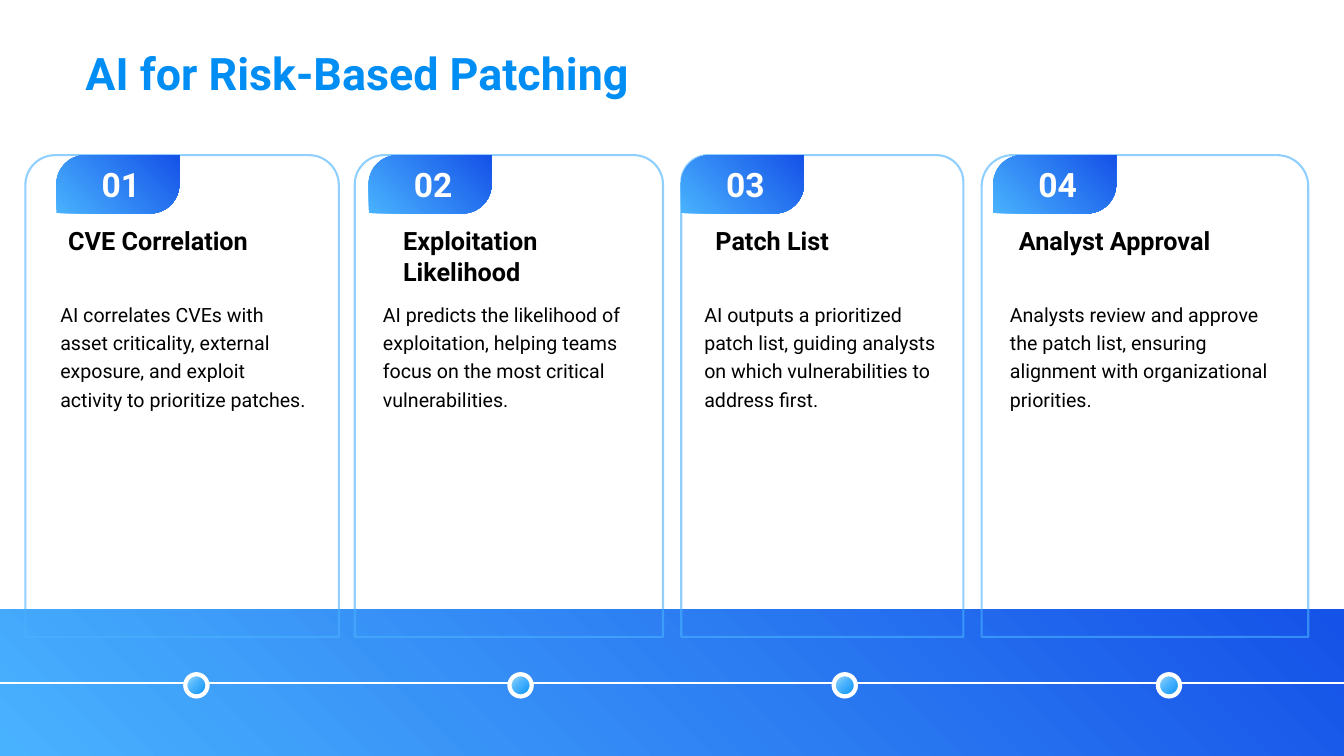
from dataclasses import dataclass

from lxml import etree
from pptx import Presentation
from pptx.dml.color import RGBColor
from pptx.enum import shapes, text
from pptx.oxml import ns
from pptx.util import Cm, Pt


@dataclass(frozen=True)
class Theme:
    font: str = "Roboto"
    blue: str = "018EF4"
    sky: str = "49B2FE"
    deep: str = "1552E8"
    pale: str = "95D7F9"
    white: str = "FFFFFF"
    black: str = "000000"
    title: int = 32
    number: int = 24
    head: int = 18
    body: int = 14


@dataclass(frozen=True)
class Span:
    """Left edge and width in centimetres."""
    left: float
    width: float


@dataclass(frozen=True)
class Step:
    head: str
    body: str
    card: Span
    head_at: Span
    body_at: Span


THEME = Theme()
KIND = shapes.MSO_SHAPE
WIDE, HIGH = 33.87, 19.05
TOP, BAND, RAIL = 3.91, 15.37, 17.22
BADGE, PITCH = 1.42, 7.87
DOT, DOT_GAP, DOT_SIZE = 4.67, 8.17, 0.56
RISE = [(0, THEME.sky), (100, THEME.deep)]
GLOW = [(0, THEME.blue), (53, THEME.sky), (91, THEME.pale), (100, THEME.pale)]

STEPS = [
    Step("CVE Correlation",
         "AI correlates CVEs with asset criticality, external exposure, "
         "and exploit activity to prioritize patches.",
         Span(0.64, 7.9), Span(1.47, 6.5), Span(1.27, 6.76)),
    Step("Exploitation Likelihood",
         "AI predicts the likelihood of exploitation, helping teams "
         "focus on the most critical vulnerabilities.",
         Span(8.94, 7.77), Span(9.91, 5.94), Span(9.4, 6.86)),
    Step("Patch List",
         "AI outputs a prioritized patch list, guiding analysts "
         "on which vulnerabilities to address first.",
         Span(17.17, 7.11), Span(17.78, 6.32), Span(17.5, 6.5)),
    Step("Analyst Approval",
         "Analysts review and approve the patch list, ensuring "
         "alignment with organizational priorities.",
         Span(24.74, 8.23), Span(25.43, 6.4), Span(25.2, 7.14)),
]


def rgb(tone: str) -> RGBColor:
    return RGBColor.from_string(tone)


def add_form(slide, kind, left: float, top: float, width: float, height: float):
    """Add a preset shape with no shadow, fill or line."""
    form = slide.shapes.add_shape(kind, Cm(left), Cm(top), Cm(width), Cm(height))
    form.shadow.inherit = False
    form.fill.background()
    form.line.fill.background()
    return form


def shade(form, stops: list[tuple[int, str]], angle: int) -> None:
    """Give a form a linear gradient; the angle runs clockwise."""
    grad = etree.Element(ns.qn("a:gradFill"), rotWithShape="1")
    row = etree.SubElement(grad, ns.qn("a:gsLst"))
    for place, tone in stops:
        stop = etree.SubElement(row, ns.qn("a:gs"), pos=str(place * 1000))
        etree.SubElement(stop, ns.qn("a:srgbClr"), val=tone)
    etree.SubElement(grad, ns.qn("a:lin"), ang=str(angle * 60000), scaled="0")
    props = form._element.spPr
    props.replace(props.find(ns.qn("a:noFill")), grad)


def stroke(line, tone: str, width: float, alpha: int = 100) -> None:
    line.color.rgb = rgb(tone)
    line.width = Pt(width)
    if alpha < 100:
        tint = line._ln.find(".//" + ns.qn("a:srgbClr"))
        etree.SubElement(tint, ns.qn("a:alpha"), val=str(alpha * 1000))


def write(box, words: str, size: int, tone: str, bold: bool = True,
          align=text.PP_ALIGN.LEFT, lead: float = 1.0) -> None:
    frame = box.text_frame
    frame.text = words
    frame.word_wrap = True
    frame.auto_size = text.MSO_AUTO_SIZE.NONE
    frame.vertical_anchor = text.MSO_ANCHOR.TOP
    para = frame.paragraphs[0]
    para.alignment = align
    para.line_spacing = lead
    font = para.runs[0].font
    font.name, font.size, font.bold = THEME.font, Pt(size), bold
    font.color.rgb = rgb(tone)


def add_text(slide, span: Span, top: float, height: float):
    return slide.shapes.add_textbox(Cm(span.left), Cm(top), Cm(span.width), Cm(height))


def add_title(slide) -> None:
    title = slide.shapes.title
    title.left, title.top = Cm(1.9), Cm(1.02)
    title.width, title.height = Cm(27.23), Cm(1.4)
    write(title, "AI for Risk-Based Patching", THEME.title, THEME.blue)


def add_step(slide, order: int, step: Step) -> None:
    card = add_form(slide, KIND.ROUND_2_SAME_RECTANGLE,
                    step.card.left, TOP, step.card.width, 12.14)
    card.adjustments[0], card.adjustments[1] = 0.095, 0
    stroke(card.line, THEME.sky, 1.5, 60)

    left = BADGE + order * PITCH
    badge = add_form(slide, KIND.ROUND_2_DIAG_RECTANGLE, left, TOP, 3.1, 1.47)
    badge.adjustments[0], badge.adjustments[1] = 0.5, 0
    shade(badge, RISE, 315)

    number = add_text(slide, Span(left + 0.76, 1.73), 4.01, 1.02)
    write(number, f"{order + 1:02}", THEME.number, THEME.white,
          align=text.PP_ALIGN.CENTER)
    head = add_text(slide, step.head_at, 5.56, 1.65)
    write(head, step.head, THEME.head, THEME.black)
    body = add_text(slide, step.body_at, 7.39, 3.02)
    write(body, step.body, THEME.body, THEME.black, bold=False, lead=1.2)


def add_rail(slide) -> None:
    rail = slide.shapes.add_connector(shapes.MSO_CONNECTOR.STRAIGHT,
                                      Cm(0), Cm(RAIL), Cm(WIDE), Cm(RAIL))
    stroke(rail.line, THEME.white, 1.5)
    etree.SubElement(rail._element.spPr, ns.qn("a:effectLst"))
    for order in range(len(STEPS)):
        dot = add_form(slide, KIND.OVAL, DOT + order * DOT_GAP, 16.99,
                       DOT_SIZE, DOT_SIZE)
        shade(dot, GLOW, 225)
        stroke(dot.line, THEME.white, 3)


def main() -> None:
    deck = Presentation()
    deck.slide_width, deck.slide_height = Cm(WIDE), Cm(HIGH)
    slide = deck.slides.add_slide(deck.slide_layouts[5])
    add_title(slide)
    band = add_form(slide, KIND.RECTANGLE, 0, BAND, WIDE, HIGH - BAND)
    shade(band, RISE, 315)
    for order, step in enumerate(STEPS):
        add_step(slide, order, step)
    add_rail(slide)
    deck.save("out.pptx")


if __name__ == "__main__":
    main()
